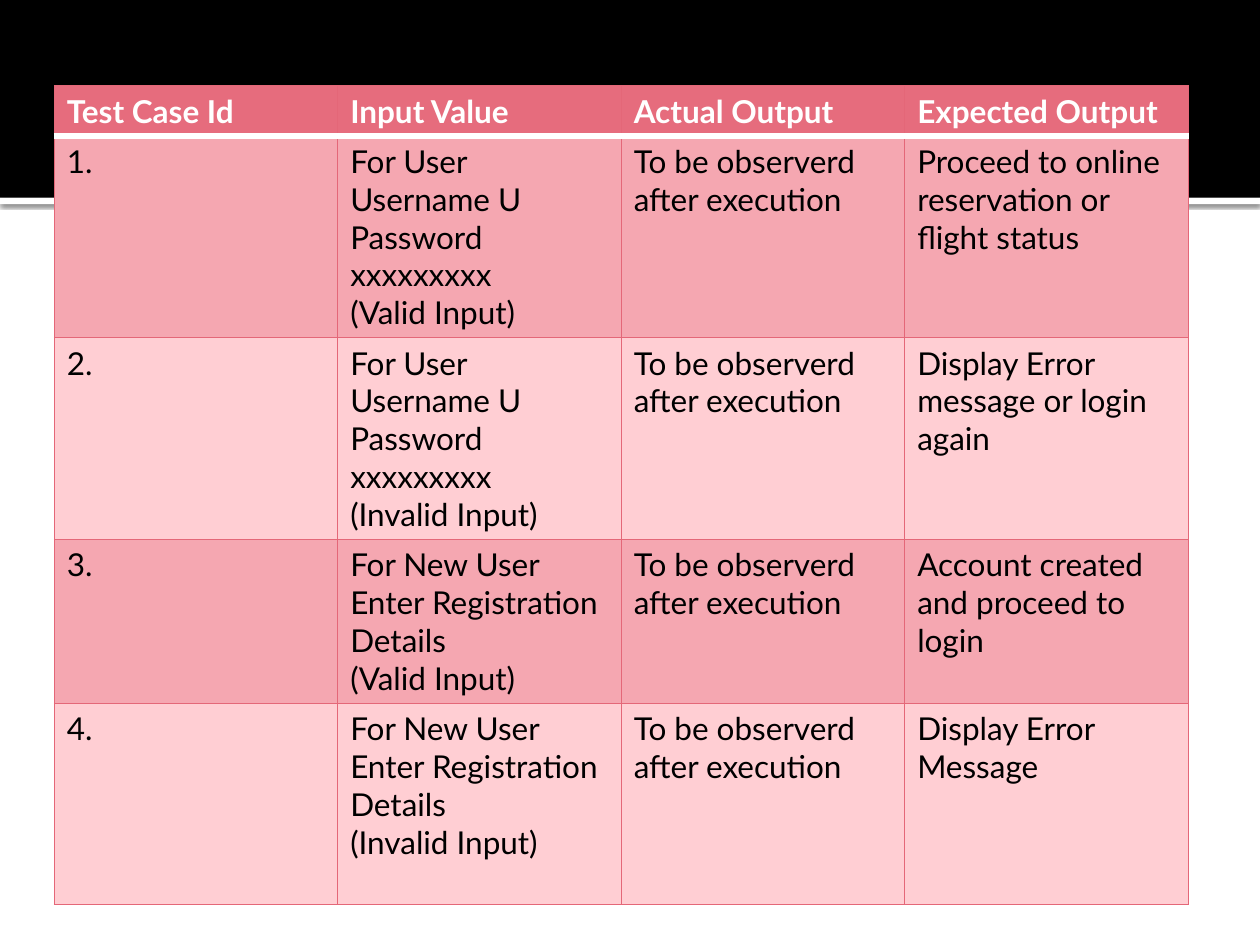
from lxml.etree import SubElement
from pptx import Presentation
from pptx.dml.color import RGBColor
from pptx.enum.shapes import MSO_SHAPE
from pptx.oxml import parse_xml
from pptx.oxml.ns import nsdecls, qn
from pptx.util import Inches, Pt

COLORS = {"black": "000000", "white": "FFFFFF", "header": "E66C7D",
          "dark_band": "F5A7B1", "light_band": "FFCED3", "grid": "E46778"}
FONT = "Lato"
HEADINGS = ["Test Case Id", "Input Value", "Actual Output", "Expected Output"]
PENDING = "To be observerd after execution"
LOGIN = "For User\nUsername U\nPassword xxxxxxxxx\n"
REGISTRATION = "For New User\nEnter Registration Details\n"
TEST_CASES = [
    (LOGIN + "(Valid Input)", "Proceed to online reservation or flight status"),
    (LOGIN + "(Invalid Input)", "Display Error message or login again"),
    (REGISTRATION + "(Valid Input)", "Account created and proceed to login"),
    (REGISTRATION + "(Invalid Input)", "Display Error Message"),
]
ROW_HEIGHTS = [0.4, 1.6, 1.6, 1.3, 1.6]


def rgb(name):
    """Return a palette colour."""
    return RGBColor.from_string(COLORS[name])


def add_bar(slide, left, top, width, height, color):
    """Add a plain filled rectangle."""
    bar = slide.shapes.add_shape(MSO_SHAPE.RECTANGLE, Inches(left), Inches(top),
                                 Inches(width), Inches(height))
    bar.shadow.inherit = False
    bar.fill.solid()
    bar.fill.fore_color.rgb = rgb(color)
    bar.line.fill.background()
    return bar


def add_banner(slide, left, top, width, height):
    """Add the black banner with a shadowed white rule under it."""
    rule = add_bar(slide, left, top + height, width, 0.05, "white")
    effects = rule.element.spPr.find(qn("a:effectLst"))
    effects.append(parse_xml(
        f'<a:outerShdw {nsdecls("a")} blurRad="{Pt(2.5)}" dist="{Pt(0.8)}" '
        f'dir="5400000" algn="tl" rotWithShape="0"><a:srgbClr val="{COLORS["black"]}">'
        '<a:alpha val="60000"/></a:srgbClr></a:outerShdw>'))
    add_bar(slide, left, top, width, height, "black")


def set_borders(cell, borders):
    """Draw borders given as side: (colour, points), in L, R, T, B order."""
    properties = cell._tc.get_or_add_tcPr()
    for side, (color, points) in borders.items():
        line = SubElement(properties, qn(f"a:ln{side}"), w=str(Pt(points)))
        fill = SubElement(line, qn("a:solidFill"))
        SubElement(fill, qn("a:srgbClr"), val=COLORS[color])


def fill_cell(cell, text, band, ink, bold, borders):
    """Write and style one cell."""
    cell.text_frame.text = text
    for paragraph in cell.text_frame.paragraphs:
        for run in paragraph.runs:
            run.font.name = FONT
            run.font.size = Pt(18)
            run.font.bold = bold
            run.font.color.rgb = rgb(ink)
    set_borders(cell, borders)
    cell.fill.solid()
    cell.fill.fore_color.rgb = rgb(band)


def add_test_table(slide, left, top, width, height):
    """Add the table of test cases in the given box."""
    rows = [HEADINGS] + [[f"{number}.", entry, PENDING, expected]
                         for number, (entry, expected) in enumerate(TEST_CASES, 1)]
    table = slide.shapes.add_table(len(rows), len(HEADINGS), Inches(left), Inches(top),
                                   Inches(width), Inches(height)).table
    for column in table.columns:
        column.width = Inches(width / len(HEADINGS))
    for index, (texts, share) in enumerate(zip(rows, ROW_HEIGHTS)):
        table.rows[index].height = Inches(height * share / sum(ROW_HEIGHTS))
        is_header = index == 0
        band = "header" if is_header else "dark_band" if index % 2 else "light_band"
        borders = {side: ("grid", 0.5) for side in "LRTB"}
        if is_header:
            borders["B"] = ("white", 3.78)
        elif index == 1:
            borders["T"] = ("white", 3.78)
        for column, text in enumerate(texts):
            fill_cell(table.cell(index, column), text, band,
                      "white" if is_header else "black", is_header, borders)


def build_test_case_slide(deck):
    """Build the slide of login and registration test cases."""
    slide = deck.slides.add_slide(deck.slide_layouts[6])
    add_banner(slide, 0, 0, 10, 1.57)
    add_test_table(slide, 0.43, 0.68, 9, 6.5)


deck = Presentation()
deck.slide_width = Inches(10)
deck.slide_height = Inches(7.5)
build_test_case_slide(deck)
deck.save("out.pptx")
